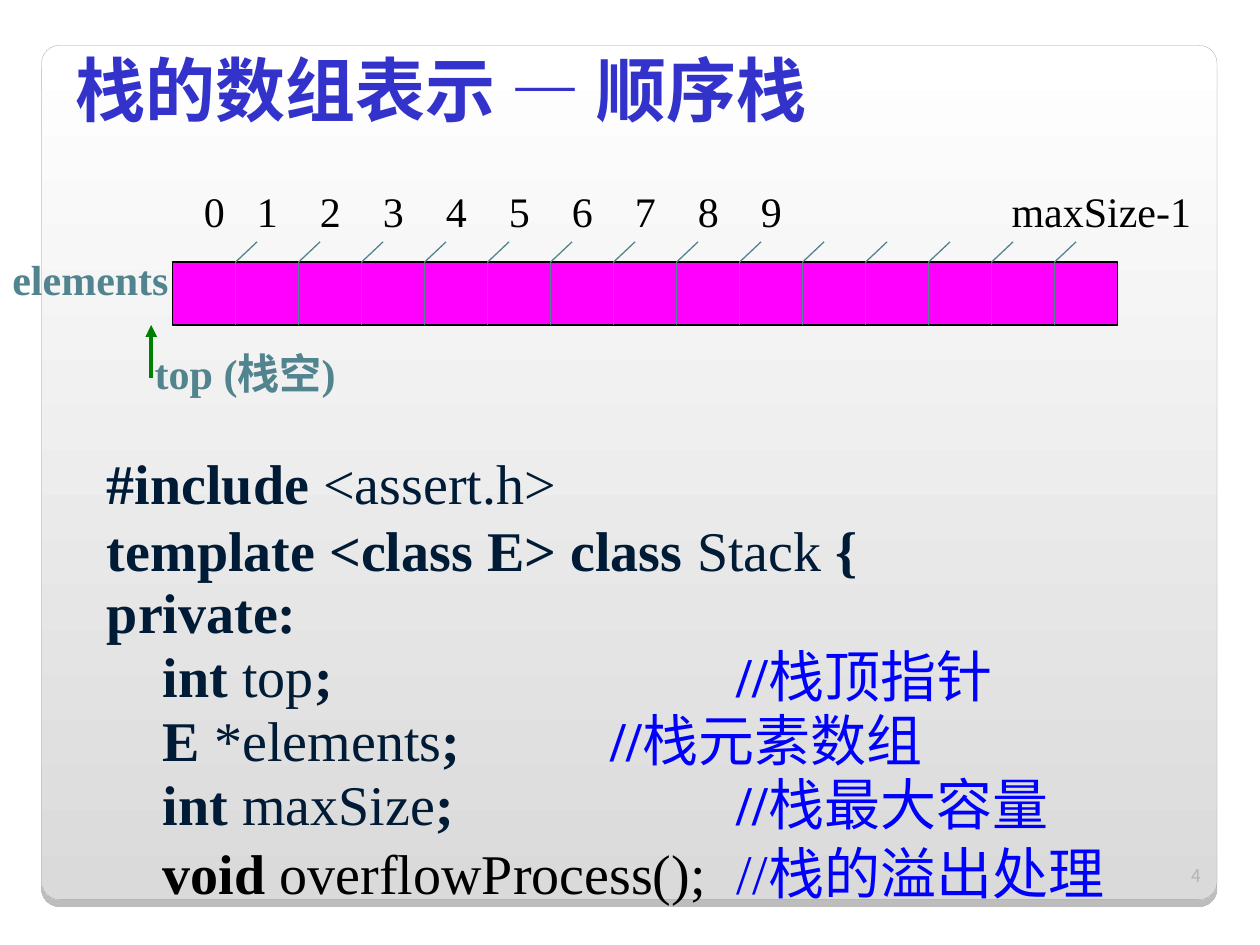
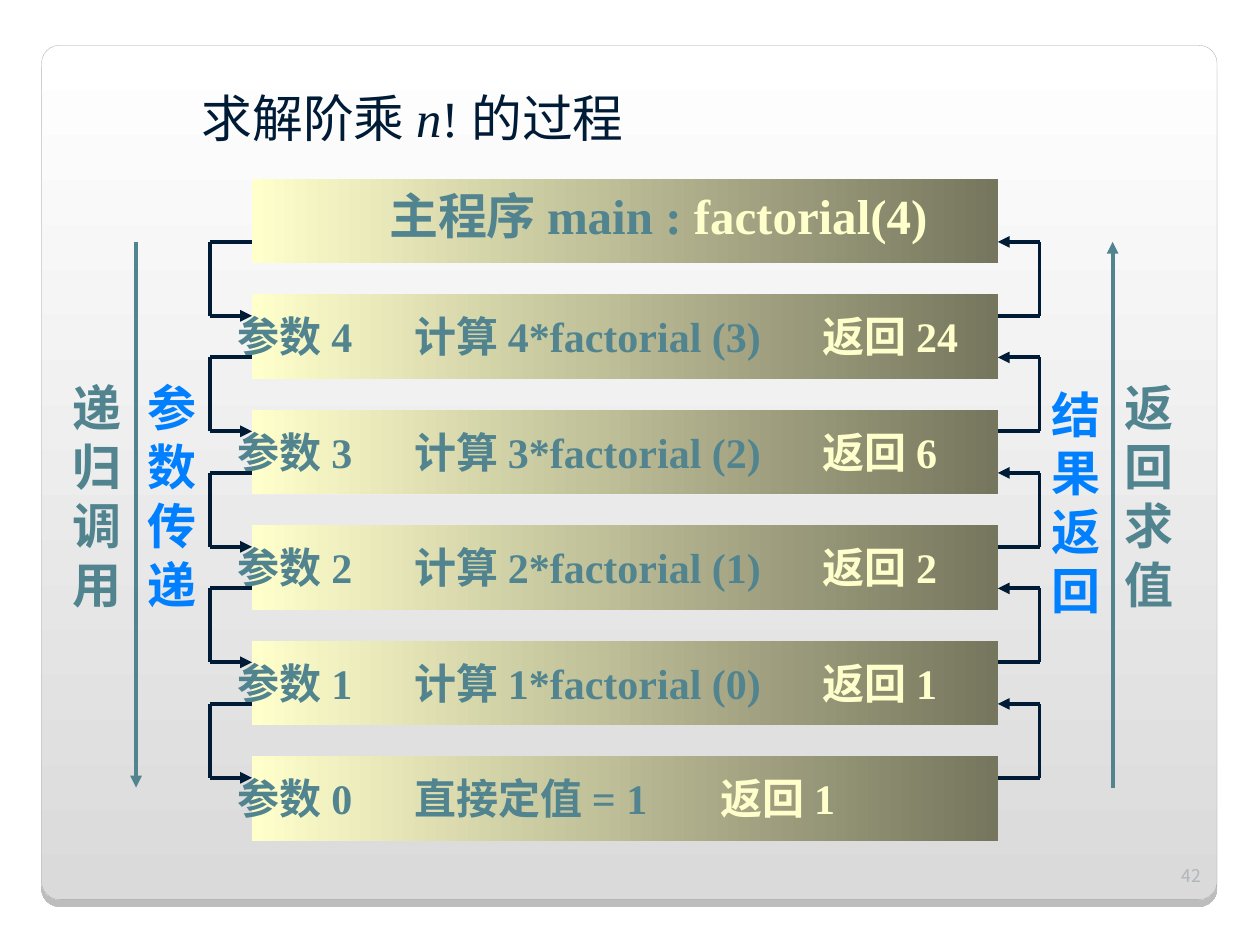
from pptx import Presentation
from pptx.dml.color import RGBColor
from pptx.enum.shapes import MSO_CONNECTOR as CONN, MSO_SHAPE as SHAPE
from pptx.enum.text import MSO_ANCHOR as ANCHOR, PP_ALIGN as ALIGN
from pptx.oxml.ns import qn
from pptx.util import Inches, Pt
from lxml.etree import SubElement

NAVY = RGBColor(0x00, 0x1B, 0x36)
INDIGO = RGBColor(0x33, 0x33, 0xCC)
TEAL = RGBColor(0x51, 0x84, 0x8E)
CREAM = RGBColor(0xFF, 0xFF, 0xCC)
OLIVE = RGBColor(0x76, 0x76, 0x5E)
MAGENTA = RGBColor(0xFF, 0x00, 0xFF)
GREEN = RGBColor(0x00, 0x80, 0x00)
BLUE = RGBColor(0x00, 0x00, 0xFF)
SKY = RGBColor(0x00, 0x80, 0xFF)
BLACK = RGBColor(0x00, 0x00, 0x00)
WHITE = RGBColor(0xFF, 0xFF, 0xFF)
SILVER = RGBColor(0xDA, 0xDA, 0xDA)
EDGE = RGBColor(0xA4, 0xA3, 0xA3)
PALE = RGBColor(0xAE, 0xB6, 0xBB)

SERIF = "Times New Roman"
SANS = "Noto Sans CJK SC"


class Deck:
    """Shared style plus the slide being drawn."""

    def __init__(self):
        self.prs = Presentation()
        self.prs.slide_width, self.prs.slide_height = Inches(10), Inches(7.5)
        self.s = None

    def slide(self, number):
        self.s = self.prs.slides.add_slide(self.prs.slide_layouts[6])
        panel = self.box(0.33, 0.36, 9.33, 6.78, (WHITE, SILVER), 270,
                         (EDGE, 0.17), SHAPE.ROUNDED_RECTANGLE)
        panel.adjustments[0] = 0.021
        self.drop_shadow(panel)
        self.text(9.13, 6.68, 0.5, 0.4, [(str(number), PALE)], 10, bold=False,
                  font=SANS, align=ALIGN.RIGHT, anchor=ANCHOR.BOTTOM)

    def drop_shadow(self, sp):
        effects = sp._element.spPr.find(qn("a:effectLst"))
        shadow = SubElement(effects, qn("a:outerShdw"), blurRad="0", dist=str(Pt(4)),
                            dir="5400000", algn="t", rotWithShape="0")
        color = SubElement(shadow, qn("a:srgbClr"), val="000000")
        SubElement(color, qn("a:alpha"), val="25000")

    def box(self, x, y, w, h, fill, angle=0, line=None, shape=SHAPE.RECTANGLE):
        """Fill is one colour or a pair of gradient ends."""
        sp = self.s.shapes.add_shape(shape, Inches(x), Inches(y), Inches(w), Inches(h))
        sp.shadow.inherit = False
        if isinstance(fill, RGBColor):
            sp.fill.solid()
            sp.fill.fore_color.rgb = fill
        else:
            sp.fill.gradient()
            sp.fill.gradient_angle = angle
            for stop, color in zip(sp.fill.gradient_stops, fill):
                stop.color.rgb = color
        if line:
            sp.line.color.rgb, sp.line.width = line[0], Pt(line[1])
        else:
            sp.line.fill.background()
        return sp

    def line(self, x1, y1, x2, y2, color=NAVY, width=2.25, arrow=False):
        c = self.s.shapes.add_connector(CONN.STRAIGHT, Inches(x1), Inches(y1),
                                        Inches(x2), Inches(y2))
        c.line.color.rgb, c.line.width = color, Pt(width)
        if arrow:
            SubElement(c.line._get_or_add_ln(), qn("a:tailEnd"), type="triangle")
        SubElement(c._element.spPr, qn("a:effectLst"))

    def frame(self, x, y, w, h, anchor=ANCHOR.TOP, inset=(0.1, 0.05)):
        tf = self.s.shapes.add_textbox(Inches(x), Inches(y), Inches(w), Inches(h)).text_frame
        tf.word_wrap = True
        tf.vertical_anchor = anchor
        tf.margin_left = tf.margin_right = Inches(inset[0])
        tf.margin_top = tf.margin_bottom = Inches(inset[1])
        return tf

    def tabs(self, p, stops):
        tab_list = SubElement(p._p.get_or_add_pPr(), qn("a:tabLst"))
        for stop in stops:
            SubElement(tab_list, qn("a:tab"), pos=str(Inches(stop)), algn="l")

    def run(self, p, text, size, color, bold=True, font=SERIF, italic=False):
        r = p.add_run()
        r.text = text
        f = r.font
        f.size, f.bold, f.italic, f.name = Pt(size), bold, italic, font
        f.color.rgb = color
        SubElement(r._r.get_or_add_rPr(), qn("a:ea"), typeface=SANS)

    def text(self, x, y, w, h, runs, size, bold=True, font=SERIF, align=ALIGN.LEFT,
             anchor=ANCHOR.TOP, stops=()):
        """One paragraph made of (text, colour) runs."""
        p = self.frame(x, y, w, h, anchor).paragraphs[0]
        p.alignment = align
        if stops:
            self.tabs(p, stops)
        for text, color in runs:
            self.run(p, text, size, color, bold, font)


def stack_slide(d):
    d.slide(4)
    d.text(0.25, 0.33, 6.5, 0.75, [("栈的数组表示 — 顺序栈", INDIGO)], 40,
           align=ALIGN.CENTER, anchor=ANCHOR.MIDDLE)

    # Class declaration: (line spacing, comment tab, runs of text, bold, colour)
    code = [
        (1, 5, [("#include", True, NAVY), (" <assert.h>", False, NAVY)]),
        (1, 5, [("template <class E> class", True, NAVY), (" Stack", False, NAVY),
                (" {", True, NAVY)]),
        (0.95, 5, [("private:", True, NAVY)]),
        (0.95, 5, [("    int ", True, NAVY), ("top", False, NAVY), (";\t", True, NAVY),
                   ("//", True, BLUE), ("栈顶指针", False, BLUE)]),
        (0.95, 4, [("    E ", True, NAVY), ("*elements", False, NAVY), (";\t", True, NAVY),
                   ("//", True, BLUE), ("栈元素数组", False, BLUE)]),
        (0.95, 5, [("    int", True, NAVY), (" maxSize", False, NAVY), (";\t", True, NAVY),
                   ("//", True, BLUE), ("栈最大容量", False, BLUE)]),
        (1, 5, [("    void ", True, BLACK), ("overflowProcess();\t", False, BLACK),
                ("//", False, BLUE), ("栈的溢出处理", False, BLUE)]),
    ]
    tf = d.frame(0.75, 3.51, 8.42, 3.73)
    for i, (spacing, tab, runs) in enumerate(code):
        p = tf.add_paragraph() if i else tf.paragraphs[0]
        p.line_spacing = spacing
        d.tabs(p, [tab])
        for text, bold, color in runs:
            d.run(p, text, 32, color, bold)

    # Array cells with index ticks
    left, top, cell, cells = 1.37, 2.08, 0.5, 15
    d.box(left, top, cell * cells, cell, MAGENTA, line=(BLACK, 0.75))
    for i in range(1, cells):
        x = left + i * cell
        d.line(x, top, x, top + cell, TEAL, 0.75)
        d.line(x, top, x + 0.17, top - 0.16, TEAL, 0.75)
    labels = [str(i) for i in range(10)] + ["maxSize-1"]
    stops = [0.42 + i * cell for i in range(9)] + [6.41]
    d.text(1.52, 1.42, 8.2, 0.5, [("\t".join(labels), BLACK)], 24, bold=False, stops=stops)

    # Top pointer and array name
    d.line(1.2, 3, 1.2, 2.58, GREEN, arrow=True)
    d.text(1.13, 2.71, 2, 0.5, [("top (栈空)", TEAL)], 24)
    d.text(0, 1.96, 1.5, 0.5, [("elements", TEAL)], 24)


def factorial_slide(d):
    d.slide(42)
    tf = d.frame(0.59, 0.6, 5.37, 0.57, ANCHOR.BOTTOM, inset=(0, 0))
    p = tf.paragraphs[0]
    p.alignment = ALIGN.CENTER
    for text, italic in [("求解阶乘 ", False), ("n", True), ("! 的过程", False)]:
        d.run(p, text, 29, NAVY, bold=False, italic=italic)

    # Call bars, from the main program down to the base case
    bar_left, bar_right, first_top, step = 2, 7.92, 1.42, 11 / 12
    calls = [(n, f"计算 {n}*factorial ({n - 1})", result, 4.64)
             for n, result in [(4, 24), (3, 6), (2, 2), (1, 1)]]
    calls.append((0, "直接定值 = 1", 1, 3.83))
    for i in range(len(calls) + 1):
        d.box(bar_left, first_top + i * step, bar_right - bar_left, 0.67, (CREAM, OLIVE))
    d.text(2.99, first_top, 4.7, 0.57,
           [("主程序 main : ", TEAL), ("factorial(4)", CREAM)], 28)
    for i, (n, work, result, result_tab) in enumerate(calls, 1):
        y = first_top + i * step
        d.text(1.79, y + 0.08, 6.27, 0.5,
               [(f"参数 {n}\t{work}\t", TEAL), (f"返回 {result}", CREAM)], 24,
               stops=(1.4, result_tab))

        # Brackets to the bar above: call on the left, return on the right
        upper, lower = y - step + 0.5, y + 0.17
        for inner, outer, returns in [(bar_left, 1.67, False), (bar_right, 8.25, True)]:
            d.line(outer, upper, inner, upper, arrow=returns)
            d.line(outer, lower, inner, lower, arrow=not returns)
            d.line(outer, lower, outer, upper)

    # Direction arrows and vertical captions
    d.line(1.08, 1.92, 1.08, 6.25, TEAL, arrow=True)
    d.line(8.83, 6.25, 8.83, 1.92, TEAL, arrow=True)
    for x, y, w, caption, color in [(1.07, 2.95, 0.68, "参数传递", SKY),
                                    (8.25, 3, 0.6, "结果返回", SKY),
                                    (0.48, 2.95, 0.68, "递归调用", TEAL),
                                    (8.83, 2.95, 0.68, "返回求值", TEAL)]:
        d.text(x, y, w, 1.97, [(caption, color)], 28)


def main():
    d = Deck()
    stack_slide(d)
    factorial_slide(d)
    d.prs.save("out.pptx")


if __name__ == "__main__":
    main()
